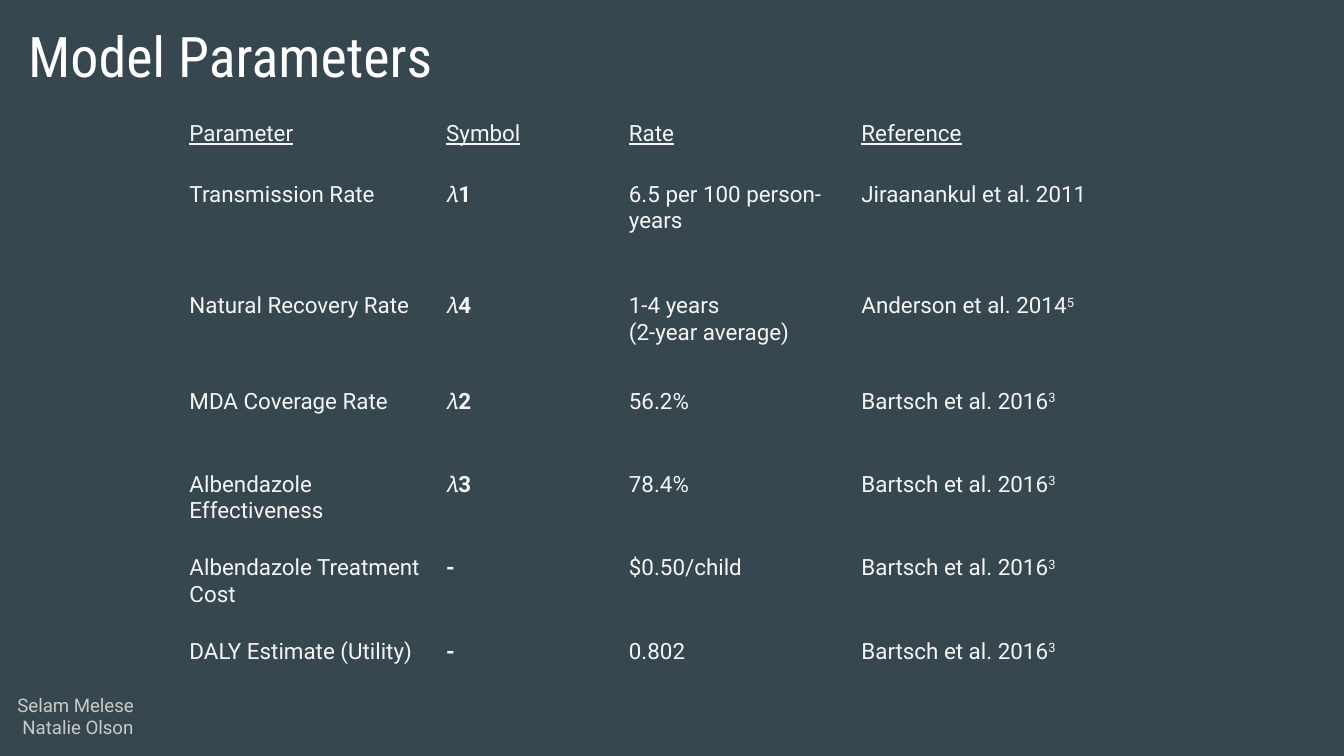
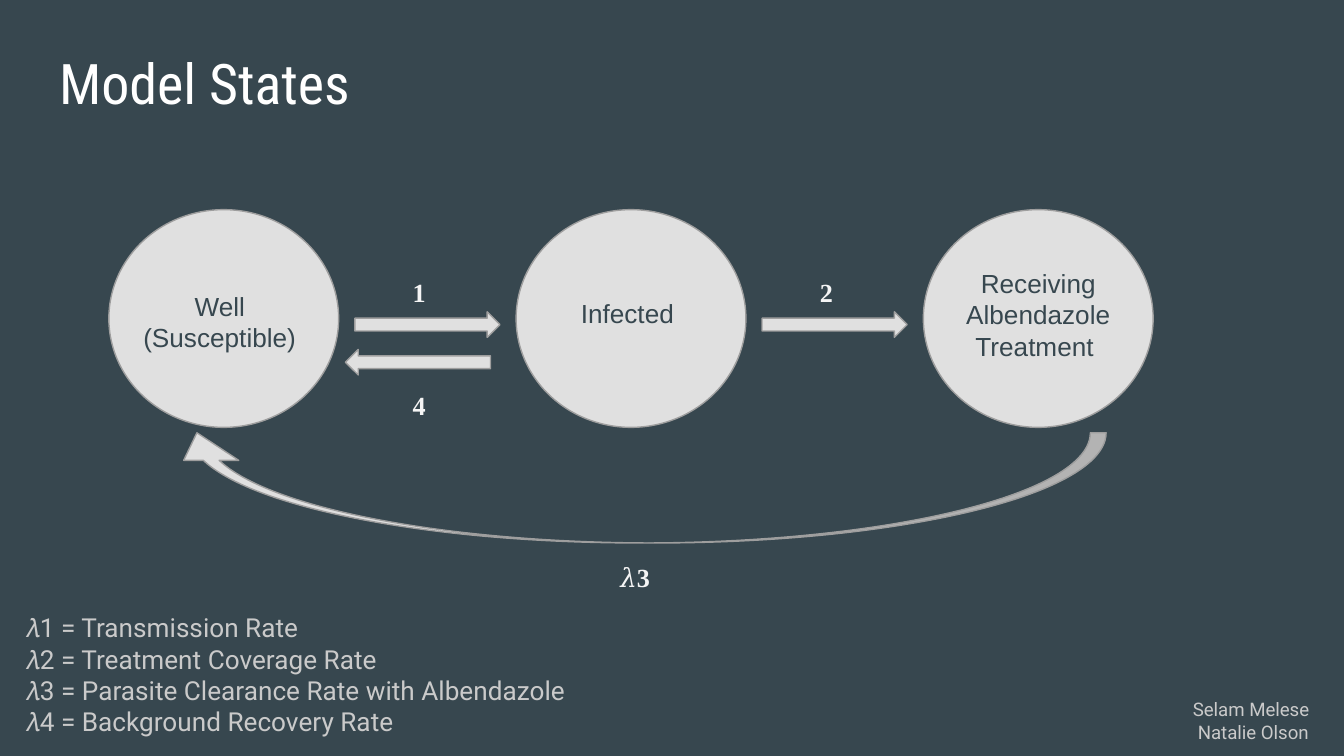
from pptx import Presentation
from pptx import util as u
from pptx.dml.color import RGBColor
from pptx.enum import shapes, text
from pptx.oxml import ns

BACKGROUND = RGBColor(0x37, 0x47, 0x4F)
WHITE = RGBColor(0xFF, 0xFF, 0xFF)
LIGHT = RGBColor(0xF5, 0xF5, 0xF5)
MUTED = RGBColor(0xCA, 0xCA, 0xCA)
SHAPE_FILL = RGBColor(0xE0, 0xE0, 0xE0)
SHAPE_LINE = RGBColor(0x9E, 0x9E, 0x9E)

PLAIN_TABLE_STYLE = "{2D5ABB26-0587-4C30-8999-92F81FD0307C}"
AUTHORS = "Selam Melese \nNatalie Olson"
LEFT, CENTER = text.PP_ALIGN.LEFT, text.PP_ALIGN.CENTER
TOP, MIDDLE = text.MSO_ANCHOR.TOP, text.MSO_ANCHOR.MIDDLE

COLUMN_WIDTHS = (1.91, 1.36, 1.73, 1.91, 0.42)
ROW_HEIGHTS = (0.45, 0.83, 0.71, 0.62, 0.62, 0.62, 0.41, 0.4)
HEADINGS = ("Parameter", "Symbol", "Rate", "Reference")
PARAMETERS = (
    ("Transmission Rate", "𝜆1", "6.5 per 100 person-years", "Jiraanankul et al. 2011", ""),
    ("Natural Recovery Rate", "𝜆4", "1-4 years\n(2-year average)", "Anderson et al. 2014", "5"),
    ("MDA Coverage Rate", "𝜆2", "56.2%", "Bartsch et al. 2016", "3"),
    ("Albendazole Effectiveness", "𝜆3", "78.4%", "Bartsch et al. 2016", "3"),
    ("Albendazole Treatment Cost", "-", "$0.50/child", "Bartsch et al. 2016", "3"),
    ("DALY Estimate (Utility)", "-", "0.802", "Bartsch et al. 2016", "3"),
    ("", "", "", "", ""),
)

STATE_STEP = 3.03
STATES = (
    ("Well (Susceptible)", 0.08, 0.5),
    ("Infected ", 0.11, 0.55),
    ("Receiving Albendazole Treatment ", 0.11, 0.33),
)
LEGEND = (
    "𝜆1 = Transmission Rate\n"
    "𝜆2 = Treatment Coverage Rate\n"
    "𝜆3 = Parasite Clearance Rate with Albendazole\n"
    "𝜆4 = Background Recovery Rate"
)


def place(shape, box):
    """Move a shape to a box of left, top, width and height in inches."""
    shape.left, shape.top, shape.width, shape.height = map(u.Inches, box)


def style_paragraph(paragraph, font, size, color, bold=False, align=LEFT):
    """Format one paragraph."""
    paragraph.alignment = align
    paragraph.space_before = u.Pt(0)
    paragraph.font.name = font
    paragraph.font.size = u.Pt(size)
    paragraph.font.color.rgb = color
    paragraph.font.bold = bold


def fill_text(shape, words, font, size, color, bold=False, align=LEFT, anchor=TOP):
    """Write and format the text of a box or placeholder."""
    frame = shape.text_frame
    frame.word_wrap = True
    frame.auto_size = text.MSO_AUTO_SIZE.NONE
    frame.vertical_anchor = anchor
    frame.margin_left = frame.margin_right = u.Inches(0.1)
    frame.margin_top = frame.margin_bottom = u.Inches(0.1)
    frame.text = words
    for paragraph in frame.paragraphs:
        style_paragraph(paragraph, font, size, color, bold, align)


def add_text(slide, box, *words_and_style, **options):
    """Add a formatted text box."""
    shape = slide.shapes.add_textbox(*map(u.Inches, box))
    fill_text(shape, *words_and_style, **options)


def add_title(slide, box, words):
    """Place the slide title."""
    place(slide.shapes.title, box)
    fill_text(slide.shapes.title, words, "Roboto Condensed", 30, WHITE)


def add_authors(slide, box):
    """Add the authors' names in a corner."""
    add_text(slide, box, AUTHORS, "Roboto", 10, MUTED, align=CENTER, anchor=MIDDLE)


def add_symbol(slide, box, words, align=LEFT):
    """Label a transition with its rate symbol."""
    add_text(slide, box, words, "Times New Roman", 14, LIGHT, bold=True, align=align)


def add_gray_shape(slide, kind, box, rotation=0):
    """Add a light gray outlined shape."""
    shape = slide.shapes.add_shape(kind, *map(u.Inches, box))
    shape.shadow.inherit = False
    shape.fill.solid()
    shape.fill.fore_color.rgb = SHAPE_FILL
    shape.line.color.rgb = SHAPE_LINE
    shape.line.width = u.Pt(0.75)
    shape.rotation = rotation
    return shape


def fill_cell(cell, words, bold=False, underline=None, superscript=""):
    """Write one transparent table cell."""
    cell.fill.background()
    cell.margin_left = cell.margin_right = u.Inches(0.07)
    cell.margin_top = cell.margin_bottom = u.Inches(0.1)
    cell.text = words
    for paragraph in cell.text_frame.paragraphs:
        style_paragraph(paragraph, "Roboto", 12, LIGHT, bold)
        paragraph.font.underline = underline
    if superscript:
        run = cell.text_frame.paragraphs[-1].add_run()
        run.text = superscript
        run.font._element.set("baseline", "30000")


def add_parameter_table(slide, left, top):
    """Add the table of parameters, symbols, rates and references."""
    frame = slide.shapes.add_table(
        len(ROW_HEIGHTS), len(COLUMN_WIDTHS), u.Inches(left), u.Inches(top),
        u.Inches(sum(COLUMN_WIDTHS)), u.Inches(sum(ROW_HEIGHTS)))
    table = frame.table
    table.first_row = table.horz_banding = False
    table._tbl.tblPr.find(ns.qn("a:tableStyleId")).text = PLAIN_TABLE_STYLE
    for column, width in zip(table.columns, COLUMN_WIDTHS):
        column.width = u.Inches(width)
    for row, height in zip(table.rows, ROW_HEIGHTS):
        row.height = u.Inches(height)
    for index, heading in enumerate(HEADINGS):
        fill_cell(table.cell(0, index), heading, underline=True)
    fill_cell(table.cell(0, len(HEADINGS)), "")
    for index, (name, symbol, rate, reference, note) in enumerate(PARAMETERS, 1):
        table.cell(index, 3).merge(table.cell(index, 4))
        fill_cell(table.cell(index, 0), name)
        fill_cell(table.cell(index, 1), symbol, bold=True)
        fill_cell(table.cell(index, 2), rate)
        fill_cell(table.cell(index, 3), reference, superscript=note)


def add_state_diagram(slide, left, top):
    """Draw the three states and the transitions between them."""
    kinds = shapes.MSO_SHAPE
    arc = add_gray_shape(slide, kinds.CURVED_DOWN_ARROW,
                         (left + 0.45, top + 1.66, 6.97, 0.82), 180)
    for index, value in enumerate((0.143, 0.5, 0.25)):
        arc.adjustments[index] = value
    add_symbol(slide, (left + 3.58, top + 2.52, 0.72, 0.37), "𝜆3 ", CENTER)
    for index, (name, indent, drop) in enumerate(STATES):
        start = left + STATE_STEP * index
        add_gray_shape(slide, kinds.OVAL, (start, top, 1.71, 1.62))
        add_text(slide, (start + indent, top + drop, 1.49, 0.63),
                 name, "Arial", 14, BACKGROUND, align=CENTER)
    for index, symbol in enumerate(("𝜆1", "𝜆2")):
        start = left + STATE_STEP * index
        add_gray_shape(slide, kinds.RIGHT_ARROW, (start + 1.83, top + 0.76, 1.08, 0.19))
        add_symbol(slide, (start + 2.01, top + 0.4, 0.72, 0.37), symbol)
    add_gray_shape(slide, kinds.RIGHT_ARROW, (left + 1.76, top + 1.04, 1.08, 0.19), 180)
    add_symbol(slide, (left + 2.01, top + 1.24, 0.72, 0.37), "𝜆4")


def add_legend(slide, box):
    """List the meaning of each rate symbol without bullets."""
    body = slide.placeholders[1]
    place(body, box)
    fill_text(body, LEGEND, "Roboto", 14, MUTED)
    for paragraph in body.text_frame.paragraphs:
        properties = paragraph._p.get_or_add_pPr()
        properties.set("marL", "0")
        properties.set("indent", "0")
        bullet = properties.makeelement(ns.qn("a:buNone"), {})
        properties.find(ns.qn("a:defRPr")).addprevious(bullet)


def build_parameters_slide(presentation):
    """Build the slide of model parameters."""
    slide = presentation.slides.add_slide(presentation.slide_layouts[5])
    add_title(slide, (0.11, 0.06, 9.32, 0.63), "Model Parameters")
    add_parameter_table(slide, 1.34, 0.8)
    add_authors(slide, (0, 5.06, 1.16, 0.54))


def build_states_slide(presentation):
    """Build the slide of model states."""
    slide = presentation.slides.add_slide(presentation.slide_layouts[1])
    add_title(slide, (0.34, 0.26, 9.32, 0.63), "Model States")
    add_legend(slide, (0.09, 4.45, 9.32, 1.13))
    add_state_diagram(slide, 0.81, 1.56)
    add_authors(slide, (8.65, 5.09, 1.35, 0.54))


def main():
    """Build and save the presentation."""
    presentation = Presentation()
    presentation.slide_width = u.Inches(10)
    presentation.slide_height = presentation.slide_width * 9 // 16
    background = presentation.slide_master.background.fill
    background.solid()
    background.fore_color.rgb = BACKGROUND
    build_parameters_slide(presentation)
    build_states_slide(presentation)
    presentation.save("out.pptx")


if __name__ == "__main__":
    main()
